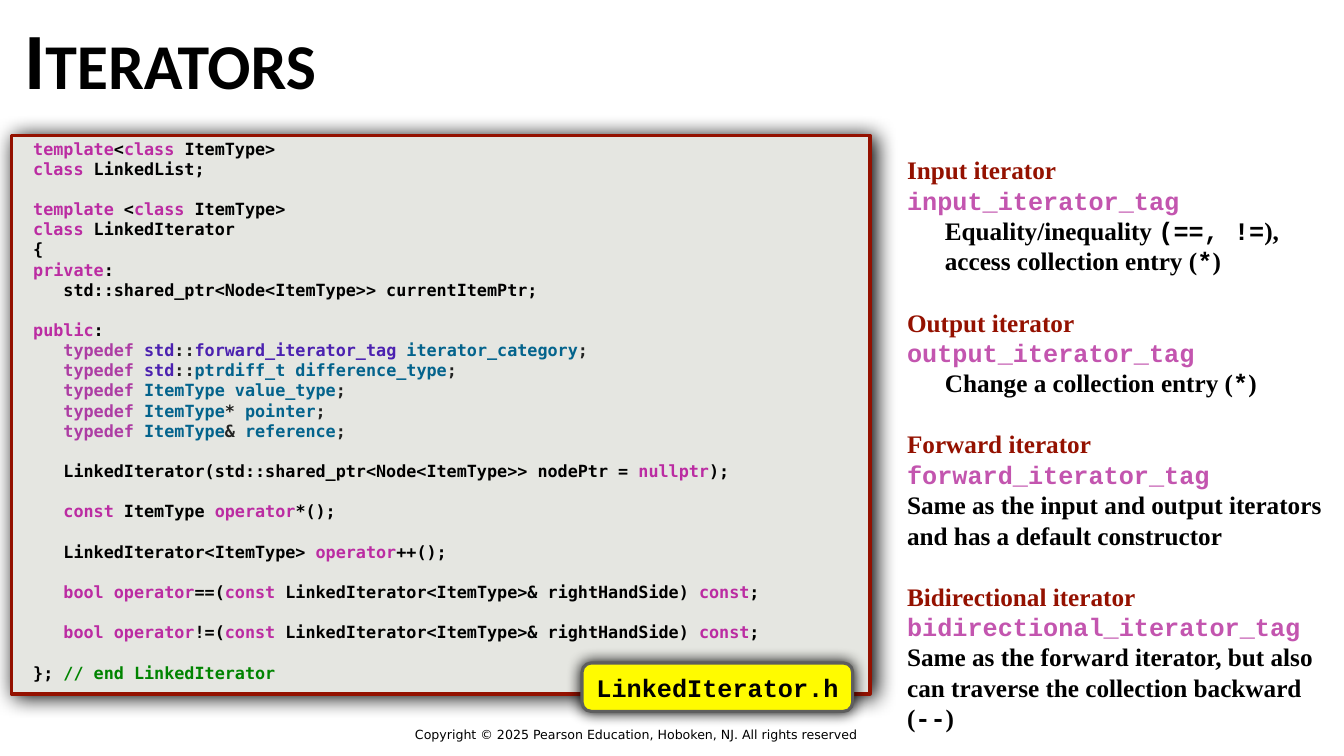
from collections import namedtuple

from lxml.etree import SubElement
from pptx import Presentation
from pptx.dml.color import RGBColor
from pptx.enum.shapes import MSO_SHAPE as Shape
from pptx.enum.text import MSO_ANCHOR as Anchor, MSO_AUTO_SIZE as AutoSize, PP_ALIGN as Align
from pptx.oxml.ns import qn
from pptx.util import Inches, Pt

BLACK = RGBColor(0x00, 0x00, 0x00)
SOFT = RGBColor(0x22, 0x23, 0x22)
MAROON = RGBColor(0x94, 0x11, 0x00)
ORCHID = RGBColor(0xC3, 0x55, 0xAF)
KEYWORD = RGBColor(0xBB, 0x2C, 0xA2)
TYPEDEF = RGBColor(0xAD, 0x3D, 0xA4)
LIBRARY = RGBColor(0x4B, 0x21, 0xB0)
TYPE = RGBColor(0x03, 0x63, 0x8C)
COMMENT = RGBColor(0x00, 0x84, 0x00)
PANEL = RGBColor(0xE5, 0xE6, 0xE1)
YELLOW = RGBColor(0xFF, 0xFB, 0x00)
GRAY = RGBColor(0x5E, 0x5E, 0x5E)

SERIF, MONO = "Times New Roman", "Courier New"
TITLE = {"name": "Calibri", "size": Pt(76), "bold": True}
CODE = {"name": "DejaVu Sans Mono", "size": Pt(16), "bold": True}
NOTE = {"name": SERIF, "size": Pt(24), "bold": True}
LABEL = {"name": MONO, "size": Pt(24), "bold": True}
FOOTER = {"name": "DejaVu Sans", "size": Pt(12), "bold": False}

Line = namedtuple("Line", "spans indent", defaults=(0,))


def code(*spans):
    """Return a line of code from (text, colour) spans."""
    return Line(spans)


def typedef(*spans):
    """Return an indented typedef line ending in a semicolon."""
    return Line((("   ", BLACK), ("typedef ", TYPEDEF), *spans, (";", SOFT)))


def comparison(sign):
    """Return the declaration of a comparison operator."""
    return code(("   ", BLACK), ("bool operator", KEYWORD), (f"{sign}(", BLACK),
                ("const", KEYWORD), (" LinkedIterator<ItemType>& rightHandSide) ", BLACK),
                ("const", KEYWORD), (";", BLACK))


def note(kind, *lines):
    """Return a block that names an iterator kind and its tag."""
    heading = Line(((f"{kind} iterator", MAROON),))
    tag = Line(((f"{kind.lower()}_iterator_tag", ORCHID, MONO),))
    return [heading, tag, *lines]


CODE_BLOCKS = [
    [code(("template", KEYWORD), ("<", BLACK), ("class", KEYWORD), (" ItemType>", BLACK)),
     code(("class", KEYWORD), (" LinkedList;", BLACK))],
    [code(("template", KEYWORD), (" <", BLACK), ("class", KEYWORD), (" ItemType>", BLACK)),
     code(("class", KEYWORD), (" LinkedIterator", BLACK)),
     code(("{", BLACK)),
     code(("private", KEYWORD), (":", BLACK)),
     code(("   std::shared_ptr<Node<ItemType>> currentItemPtr;", BLACK))],
    [code(("public", KEYWORD), (":", BLACK)),
     typedef(("std", LIBRARY), ("::", SOFT), ("forward_iterator_tag ", LIBRARY),
             ("iterator_category", TYPE)),
     typedef(("std", LIBRARY), ("::", SOFT), ("ptrdiff_t difference_type", TYPE)),
     typedef(("ItemType value_type", TYPE)),
     typedef(("ItemType", TYPE), ("* ", SOFT), ("pointer", TYPE)),
     typedef(("ItemType", TYPE), ("& ", SOFT), ("reference", TYPE))],
    [code(("   LinkedIterator(std::shared_ptr<Node<ItemType>> nodePtr =", BLACK),
          (" nullptr", KEYWORD), (");", BLACK))],
    [code(("   ", BLACK), ("const", KEYWORD), (" ItemType ", BLACK),
          ("operator", KEYWORD), ("*();", BLACK))],
    [code(("   LinkedIterator<ItemType> ", BLACK), ("operator", KEYWORD), ("++();", BLACK))],
    [comparison("==")],
    [comparison("!=")],
    [code(("}; ", BLACK), ("// end LinkedIterator", COMMENT))],
]

INPUT_BLOCKS = [
    note("Input",
         Line((("Equality/inequality ", BLACK), ("(==, !=", BLACK, MONO), ("),", BLACK)), 0.5),
         Line((("access collection entry (", BLACK), ("*", BLACK, MONO), (")", BLACK)), 0.5)),
]
OTHER_BLOCKS = [
    note("Output",
         Line((("Change a collection entry (", BLACK), ("*", BLACK, MONO), (")", BLACK)), 0.5)),
    note("Forward",
         Line((("Same as the input and output iterators and has a default constructor", BLACK),))),
    note("Bidirectional",
         Line((("Same as the forward iterator, but also can traverse the collection backward (",
                BLACK), ("--", BLACK, MONO), (")", BLACK)))),
]


def place(shape, box):
    """Move a shape to a box of left, top, width and height in inches."""
    for name, value in zip(("left", "top", "width", "height"), box):
        setattr(shape, name, Inches(value))


def set_frame(shape, anchor, margin=0.06):
    """Set the wrapping, anchor and margins of a shape and return its frame."""
    frame = shape.text_frame
    formats = {"word_wrap": True, "auto_size": AutoSize.NONE, "vertical_anchor": anchor}
    formats |= {f"margin_{side}": Inches(margin) for side in ("left", "right", "top", "bottom")}
    for name, value in formats.items():
        setattr(frame, name, value)
    return frame


def add_span(para, text, color, style):
    """Add a formatted run to a paragraph."""
    span = para.add_run()
    span.text = text
    for name, value in style.items():
        setattr(span.font, name, value)
    span.font.color.rgb = color
    return span


def fill_blocks(frame, blocks, style, pitch):
    """Write blocks of lines, one line of space apart."""
    for block_index, block in enumerate(blocks):
        for line_index, line in enumerate(block):
            first = block_index == line_index == 0
            para = frame.paragraphs[0] if first else frame.add_paragraph()
            properties = para._p.get_or_add_pPr()
            properties.set("marL", str(Inches(line.indent)))
            properties.set("indent", "0")
            SubElement(properties, qn("a:buNone"))
            para.alignment = Align.LEFT
            para.line_spacing = Pt(pitch)
            para.space_before = Pt(pitch if block_index and line_index == 0 else 0)
            for text, color, *font in line.spans:
                add_span(para, text, color, style | ({"name": font[0]} if font else {}))


def add_panel(page, kind, box, fill, line, blur, distance):
    """Add an outlined shape with a soft black shadow."""
    panel = page.shapes.add_shape(kind, *map(Inches, box))
    panel.fill.solid()
    panel.fill.fore_color.rgb = fill
    panel.line.color.rgb = line
    panel.line.width = Pt(3)
    panel.shadow.inherit = False
    effects = panel._element.spPr.find(qn("a:effectLst"))
    shadow = SubElement(effects, qn("a:outerShdw"), blurRad=str(Pt(blur)), dist=str(Pt(distance)),
                        dir=str(33 * 60000), rotWithShape="0")
    SubElement(shadow, qn("a:srgbClr"), val=str(BLACK))
    return panel


def add_title(page, box):
    """Write the title in small capitals."""
    title = page.shapes.title
    place(title, box)
    para = set_frame(title, Anchor.MIDDLE).paragraphs[0]
    para.alignment = Align.LEFT
    span = add_span(para, "Iterators", BLACK, TITLE)
    span.font._element.set("cap", "small")


def add_listing(page, box):
    """Add the code panel with its text and file label."""
    left, top, width, height = box
    add_panel(page, Shape.RECTANGLE, box, PANEL, MAROON, 21, 4)
    text = page.shapes.add_textbox(*map(Inches, (left + 0.23, top - 0.02, width - 0.3, 7.29)))
    fill_blocks(set_frame(text, Anchor.TOP), CODE_BLOCKS, CODE, 19.2)
    label_box = (left + width - 3.81, top + height - 0.41, 3.58, 0.64)
    label = add_panel(page, Shape.ROUNDED_RECTANGLE, label_box, YELLOW, GRAY, 14, 0)
    label.adjustments[0] = 0.19
    para = set_frame(label, Anchor.MIDDLE).paragraphs[0]
    para.alignment = Align.CENTER
    add_span(para, "LinkedIterator.h", BLACK, LABEL)


def add_notes(body, box, blocks):
    """Fill a body placeholder with iterator notes."""
    place(body, box)
    fill_blocks(set_frame(body, Anchor.MIDDLE), blocks, NOTE, 29)


def add_copyright(page, box):
    """Add the copyright line."""
    text = page.shapes.add_textbox(*map(Inches, box))
    para = set_frame(text, Anchor.MIDDLE, 0).paragraphs[0]
    add_span(para, "Copyright © 2025 Pearson Education, Hoboken, NJ. All rights reserved",
             BLACK, FOOTER)


def main():
    """Build and save the deck."""
    deck = Presentation()
    deck.slide_width, deck.slide_height = Inches(17.78), Inches(10)
    page = deck.slides.add_slide(deck.slide_layouts.get_by_name("Two Content"))
    add_copyright(page, (5.49, 9.6, 6.77, 0.24))
    add_title(page, (0.26, 0, 15.74, 1.53))
    add_listing(page, (0.15, 1.79, 11.36, 7.39))
    add_notes(page.placeholders[1], (11.94, 1.98, 5.56, 1.73), INPUT_BLOCKS)
    add_notes(page.placeholders[2], (11.94, 3.99, 5.84, 5.77), OTHER_BLOCKS)
    deck.save("out.pptx")


if __name__ == "__main__":
    main()
